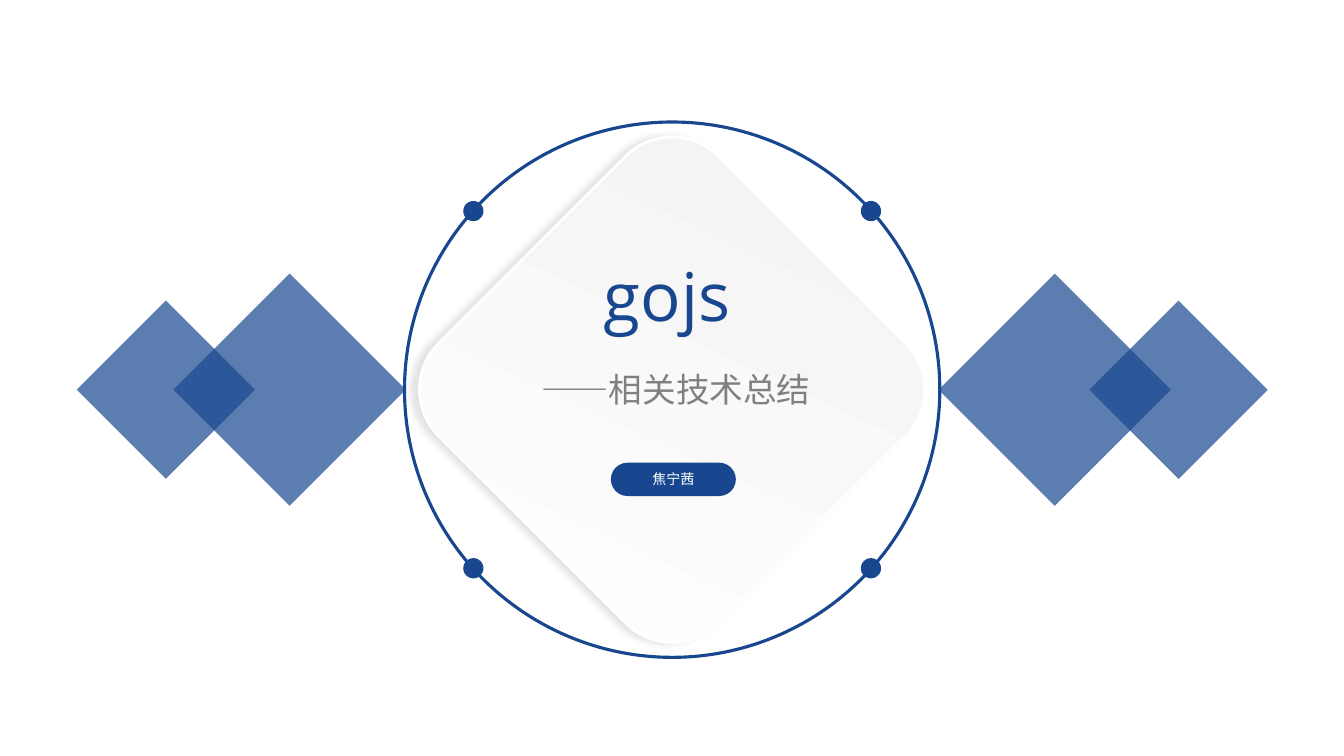
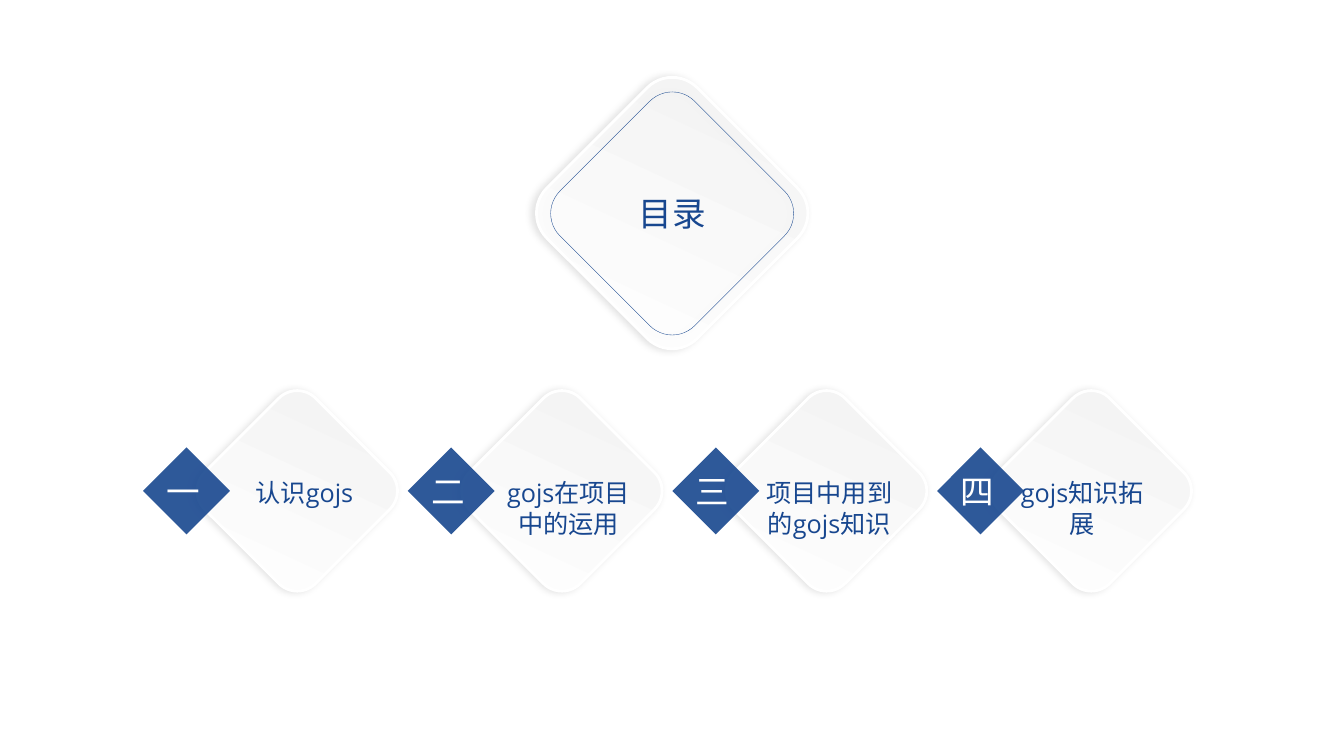
from itertools import product

from lxml.etree import SubElement
from pptx import Presentation
from pptx.dml.color import RGBColor
from pptx.enum.shapes import MSO_SHAPE as Preset
from pptx.enum.text import MSO_ANCHOR as Anchor, MSO_AUTO_SIZE as AutoSize, PP_ALIGN as Align
from pptx.oxml.ns import qn
from pptx.util import Cm, Pt

COLORS = {"blue": "18478F", "gray": "808080", "white": "FFFFFF", "pale": "F2F2F2", "black": "000000"}
LATIN, HAN = "Open Sans", "Noto Sans CJK SC"

COVER = {"title": "gojs", "subtitle": "——相关技术总结", "author": "焦宁茜"}
CONTENTS_TITLE = "目录"
CHAPTERS = [
    ("一", "认识gojs", 0.18, 4.17),
    ("二", "gojs在项目中的运用", 0.17, 4.17),
    ("三", "项目中用到的gojs知识", 0.07, 4.17),
    ("四", "gojs知识拓展", -0.22, 3.61),
]

AXIS = 16.94
COVER_MIDDLE = 9.82
SIDE_DIAMONDS = [(9.64, 4.14), (12.76, 3.18)]
RING_SIZE, DOT_SIZE = 13.49, 0.51
DOT_DX, DOT_DY = 5.01, 4.5
CHAPTER_LEFT, CHAPTER_MIDDLE, CHAPTER_PITCH = 7.49, 12.37, 6.67
BADGE_OFFSET = -2.79


def rgb(name):
    """Return the named colour."""
    return RGBColor.from_string(COLORS[name])


def frame(x, y, width, height):
    """Return left, top, width and height of a box centred on x, y."""
    return Cm(x - width / 2), Cm(y - height / 2), Cm(width), Cm(height)


def add_preset(page, preset, x, y, width, height, fill=None, line=None, weight=0, alpha=100, turn=0):
    """Add a preset shape centred on x, y."""
    shape = page.shapes.add_shape(preset, *frame(x, y, width, height))
    shape.shadow.inherit = False
    shape.rotation = turn
    if fill:
        shape.fill.solid()
        shape.fill.fore_color.rgb = rgb(fill)
        if alpha < 100:
            color = shape._element.spPr.find(".//" + qn("a:srgbClr"))
            SubElement(color, qn("a:alpha"), val=str(alpha * 1000))
    else:
        shape.fill.background()
    if line:
        shape.line.color.rgb = rgb(line)
        shape.line.width = Pt(weight)
    else:
        shape.line.fill.background()
    return shape


def add_soft_shadow(shape):
    """Give a shape a faint shadow to its left, in proportion to its size."""
    effects = shape._element.spPr.find(qn("a:effectLst"))
    shadow = SubElement(effects, qn("a:outerShdw"), blurRad=str(Pt(5)), dist=str(int(shape.width * 0.02)),
                        dir="10800000", algn="ctr", rotWithShape="0")
    color = SubElement(shadow, qn("a:srgbClr"), val=COLORS["black"])
    SubElement(color, qn("a:alpha"), val="11000")


def add_tile(page, x, y, size):
    """Add a raised, rounded diamond tile."""
    tile = add_preset(page, Preset.ROUNDED_RECTANGLE, x, y, size, size, line="white", weight=2, turn=45)
    tile.fill.gradient()
    tile.fill.gradient_angle = 110
    for stop, name in zip(tile.fill.gradient_stops, ("white", "pale")):
        stop.color.rgb = rgb(name)
    add_soft_shadow(tile)


def write(box, text, size, color, font=LATIN, anchor=Anchor.MIDDLE, wrap=True):
    """Write one centred paragraph into a box."""
    body = box.text_frame
    body.word_wrap = wrap
    body.auto_size = AutoSize.NONE
    body.vertical_anchor = anchor
    body.text = text
    para = body.paragraphs[0]
    para.alignment = Align.CENTER
    para.font.name = font
    para.font.size = Pt(size)
    para.font.color.rgb = rgb(color)
    SubElement(para._p.pPr.find(qn("a:defRPr")), qn("a:ea"), typeface=HAN)


def add_label(page, x, y, width, height, *args, **style):
    """Add a text box centred on x, y."""
    write(page.shapes.add_textbox(*frame(x, y, width, height)), *args, **style)


def place_title(page, x, y, width, height, text, size):
    """Place the title placeholder in front of the shapes drawn so far."""
    title = page.shapes.title
    title.left, title.top, title.width, title.height = frame(x, y, width, height)
    write(title, text, size, "blue", wrap=False)
    page.shapes._spTree.append(title._element)


def build_cover(page):
    """Build the cover slide."""
    for side, turn in ((-1, 45), (1, 225)):
        for distance, size in SIDE_DIAMONDS:
            add_preset(page, Preset.RECTANGLE, AXIS + side * distance, COVER_MIDDLE, size, size,
                       fill="blue", alpha=70, turn=turn)
    add_tile(page, AXIS, COVER_MIDDLE, 9.98)
    add_preset(page, Preset.OVAL, AXIS, COVER_MIDDLE, RING_SIZE, RING_SIZE, line="blue", weight=2.25)
    for dx, dy in product((-DOT_DX, DOT_DX), (-DOT_DY, DOT_DY)):
        add_preset(page, Preset.OVAL, AXIS + dx, COVER_MIDDLE + dy, DOT_SIZE, DOT_SIZE, fill="blue")
    place_title(page, 16.81, 7.43, 3.7, 2.3, COVER["title"], 48)
    add_label(page, 17.04, 9.8, 9.4, 1.27, COVER["subtitle"], 24, "gray")
    pill = add_preset(page, Preset.ROUNDED_RECTANGLE, 16.97, 12.08, 3.15, 0.84, fill="blue")
    pill.adjustments[0] = 0.5
    write(pill, COVER["author"], 10, "white", font=HAN)


def build_contents(page):
    """Build the table of contents slide."""
    add_tile(page, AXIS, 5.37, 5.36)
    outline = add_preset(page, Preset.ROUNDED_RECTANGLE, AXIS, 5.38, 4.8, 4.8, line="blue", weight=0.25, turn=45)
    add_soft_shadow(outline)
    place_title(page, AXIS, 5.38, 6.4, 1.27, CONTENTS_TITLE, 24)
    for index, (numeral, label, shift, width) in enumerate(CHAPTERS):
        x = CHAPTER_LEFT + index * CHAPTER_PITCH
        badge_x = x + BADGE_OFFSET
        add_tile(page, x, CHAPTER_MIDDLE, 3.96)
        add_preset(page, Preset.RECTANGLE, badge_x, CHAPTER_MIDDLE, 1.55, 1.55, fill="blue", alpha=90, turn=225)
        add_label(page, x + shift, 12.81, width, 1.8, label, 18, "blue", anchor=Anchor.TOP)
        add_label(page, badge_x - 0.08, CHAPTER_MIDDLE, 1.35, 1.27, numeral, 24, "white", font=HAN, wrap=False)


def main():
    """Build and save the deck."""
    deck = Presentation()
    deck.slide_width, deck.slide_height = Cm(33.87), Cm(19.05)
    title_only = deck.slide_layouts[5]
    for build in (build_cover, build_contents):
        build(deck.slides.add_slide(title_only))
    deck.save("out.pptx")


if __name__ == "__main__":
    main()
